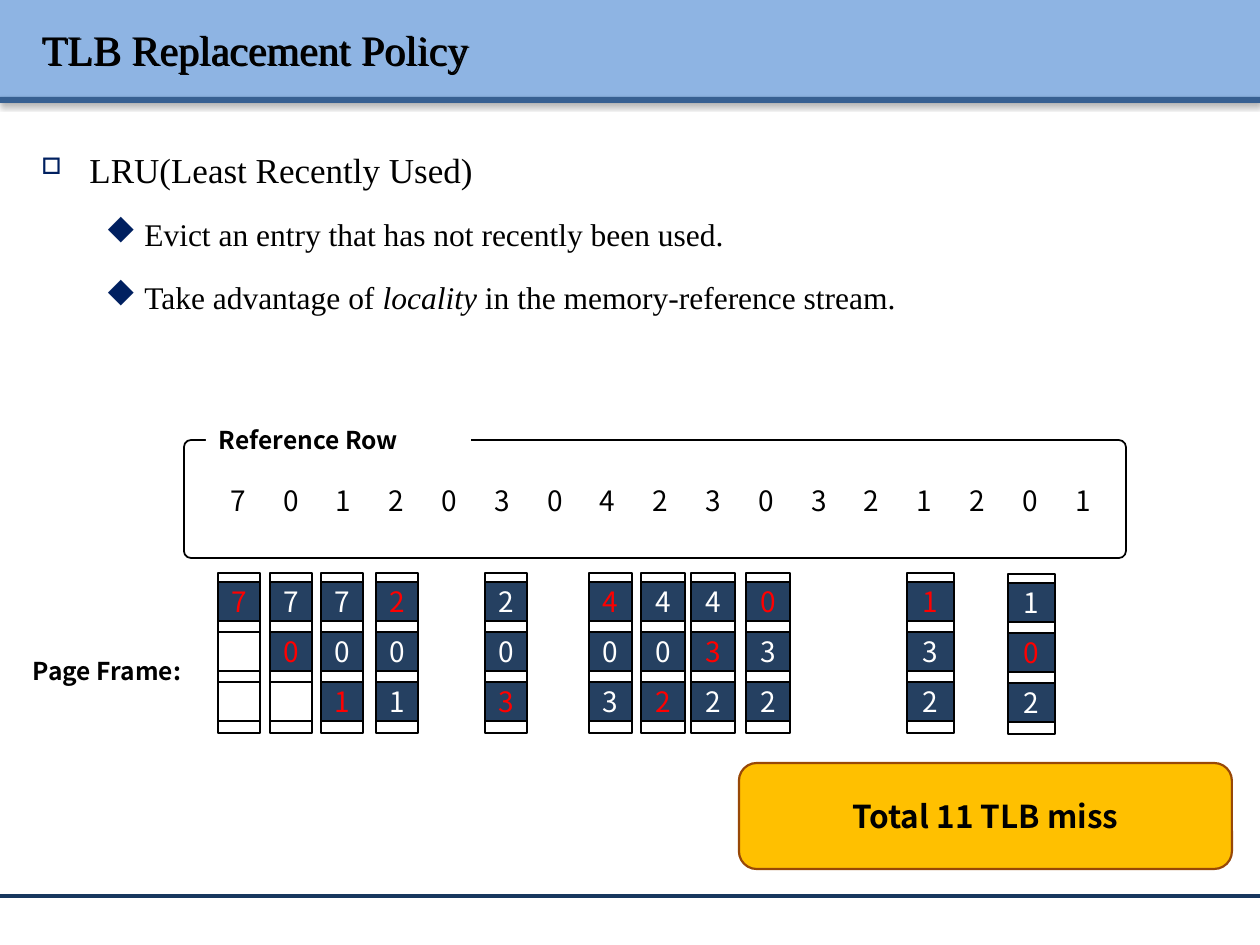
from dataclasses import dataclass

from lxml.etree import SubElement
from pptx import Presentation
from pptx.dml.color import RGBColor
from pptx.enum.shapes import MSO_CONNECTOR as Connector, MSO_SHAPE as Shape
from pptx.enum.text import MSO_ANCHOR as Anchor, MSO_AUTO_SIZE as AutoSize, PP_ALIGN as Align
from pptx.oxml.ns import qn
from pptx.util import Emu, Pt

# Content
TITLE = "TLB Replacement Policy"
# (level, [(text, italic), ...])
BULLETS = [
    (0, [("LRU(Least Recently Used)", False)]),
    (1, [("Evict an entry that has not recently been used.", False)]),
    (1, [("Take advantage of ", False), ("locality", True),
         (" in the memory-reference stream.", False)]),
]
REFERENCES = "70120304230321201"
# (left, width, top, page in each frame, frame that missed)
FRAMES = [
    (218, 42, 573, "7  ", 0),
    (270, 42, 573, "70 ", 1),
    (321, 42, 573, "701", 2),
    (376, 42, 573, "201", 0),
    (485, 42, 573, "203", 2),
    (589, 43, 573, "403", 0),
    (641, 44, 573, "402", 2),
    (691, 44, 573, "432", 1),
    (746, 44, 573, "032", 0),
    (907, 47, 573, "132", 0),
    (1008, 47, 574, "102", 1),
]
# level: (margin, hanging indent, Wingdings character, size in percent)
# In Wingdings "o" is a hollow square and "u" a diamond
BULLET_STYLES = {0: (48, 48, "o", 65), 1: (103, 39, "u", 100)}


@dataclass(frozen=True)
class Theme:
    serif: str = "Times New Roman"
    sans: str = "Noto Sans CJK KR"
    symbols: str = "Wingdings"
    black: str = "000000"
    white: str = "FFFFFF"
    band: str = "8EB4E3"
    band_edge: str = "376092"
    footer: str = "17375E"
    bullet: str = "002060"
    cell: str = "254061"
    miss: str = "FF0000"
    callout: str = "FFC000"
    callout_edge: str = "984807"
    title_size: int = 24
    body_sizes: tuple = (20, 18)
    label_size: int = 14
    digit_size: int = 16
    callout_size: int = 18


THEME = Theme()


def px(value):
    return Emu(round(value * 914400 / 126))


def area(left, top, width, height):
    return px(left), px(top), px(width), px(height)


def color(code):
    return RGBColor.from_string(code)


def style(span, size, font, code=THEME.black, bold=False, italic=False):
    span.font.size, span.font.name = Pt(size), font
    span.font.bold, span.font.italic = bold, italic
    span.font.color.rgb = color(code)


def write(shape, text, size, code=THEME.black, bold=False, align=Align.CENTER, side=0):
    frame = shape.text_frame
    frame.word_wrap = True
    frame.vertical_anchor = Anchor.MIDDLE
    frame.margin_left = frame.margin_right = px(side)
    frame.text = text
    para = frame.paragraphs[0]
    para.alignment = align
    style(para.runs[0], size, THEME.sans, code, bold)


def add_box(page, place, fill, line=None, width=1, kind=Shape.RECTANGLE):
    box = page.shapes.add_shape(kind, *area(*place))
    box.shadow.inherit = False
    box.fill.solid()
    box.fill.fore_color.rgb = color(fill)
    if line:
        box.line.color.rgb = color(line)
        box.line.width = Pt(width)
    else:
        box.line.fill.background()
    return box


def add_shadow(shape, blur, distance, angle, alpha):
    shape.shadow.inherit = False
    effects = shape._element.spPr.find(qn("a:effectLst"))
    shadow = SubElement(effects, qn("a:outerShdw"), blurRad=str(Pt(blur)),
                        dist=str(Pt(distance)), dir=str(angle * 60000), rotWithShape="0")
    tone = SubElement(shadow, qn("a:srgbClr"), val=THEME.black)
    SubElement(tone, qn("a:alpha"), val=str(alpha * 1000))


def add_header_and_footer(page):
    for top, height, fill in [(0, 97, THEME.band), (97, 6, THEME.band_edge)]:
        band = add_box(page, (0, top, 1260, height), fill)
        add_shadow(band, 3.1, 1.6, 90, 38)
    rule = page.shapes.add_connector(Connector.STRAIGHT, px(0), px(896), px(1260), px(896))
    rule.line.color.rgb = color(THEME.footer)
    rule.line.width = Pt(2)
    SubElement(rule._element.spPr, qn("a:effectLst"))


def add_title(page):
    title = page.shapes.title
    page.shapes._spTree.append(title._element)  # in front of the band
    title.left, title.top, title.width, title.height = area(29, 8, 1211, 81)
    title.fill.background()  # without a fill the shadow falls from the letters
    add_shadow(title, 0, 1.2, 45, 100)
    frame = title.text_frame
    frame.text = TITLE
    frame.auto_size = AutoSize.NONE
    frame.vertical_anchor = Anchor.MIDDLE
    para = frame.paragraphs[0]
    para.alignment = Align.LEFT
    style(para.runs[0], THEME.title_size, THEME.serif)


def add_bullets(page):
    frame = page.shapes.add_textbox(*area(29, 121, 1211, 240)).text_frame
    frame.word_wrap = True
    for index, (level, pieces) in enumerate(BULLETS):
        para = frame.add_paragraph() if index else frame.paragraphs[0]
        size = THEME.body_sizes[level]
        para.level, para.line_spacing, para.space_before = level, 1.5, Pt(size * 0.2)
        for text, italic in pieces:
            span = para.add_run()
            span.text = text
            style(span, size, THEME.serif, italic=italic)
        margin, hanging, character, percent = BULLET_STYLES[level]
        properties = para._p.get_or_add_pPr()
        properties.set("marL", str(px(margin)))
        properties.set("indent", str(-px(hanging)))
        tone = SubElement(properties, qn("a:buClr"))
        SubElement(tone, qn("a:srgbClr"), val=THEME.bullet)
        SubElement(properties, qn("a:buSzPct"), val=str(percent * 1000))
        SubElement(properties, qn("a:buFont"), typeface=THEME.symbols,
                   pitchFamily="2", charset="2")
        SubElement(properties, qn("a:buChar"), char=character)


def add_reference_row(page):
    outline = add_box(page, (184, 440, 942, 118), THEME.white, THEME.black,
                      kind=Shape.ROUNDED_RECTANGLE)
    outline.adjustments[0] = 0.06
    heading = add_box(page, (206, 418, 265, 43), THEME.white)
    write(heading, "Reference Row", THEME.label_size, bold=True, align=Align.LEFT, side=13)
    first, last = 208, 1053
    step = (last - first) / (len(REFERENCES) - 1)
    for index, digit in enumerate(REFERENCES):
        box = page.shapes.add_textbox(*area(first + index * step, 477, 60, 46))
        write(box, digit, THEME.digit_size)


def add_page_frames(page):
    label = page.shapes.add_textbox(*area(5, 649, 204, 43))
    write(label, "Page Frame:", THEME.label_size, bold=True, side=13)
    for left, width, top, pages, missed in FRAMES:
        add_box(page, (left, top, width, 160), THEME.white, THEME.black)
        for row, digit in enumerate(pages):
            used = digit != " "
            cell = add_box(page, (left, top + 9 + 50 * row, width, 39),
                           THEME.cell if used else THEME.white, THEME.black)
            if used:
                write(cell, digit, THEME.digit_size,
                      THEME.miss if row == missed else THEME.white)


def add_total(page):
    total = add_box(page, (739, 763, 493, 106), THEME.callout, THEME.callout_edge, 1.25,
                    Shape.ROUNDED_RECTANGLE)
    write(total, "Total 11 TLB miss", THEME.callout_size, bold=True, side=15)


def main():
    deck = Presentation()
    deck.slide_width, deck.slide_height = px(1260), px(945)
    page = deck.slides.add_slide(deck.slide_layouts[5])
    for add_part in (add_header_and_footer, add_title, add_bullets,
                     add_reference_row, add_page_frames, add_total):
        add_part(page)
    deck.save("out.pptx")


if __name__ == "__main__":
    main()
